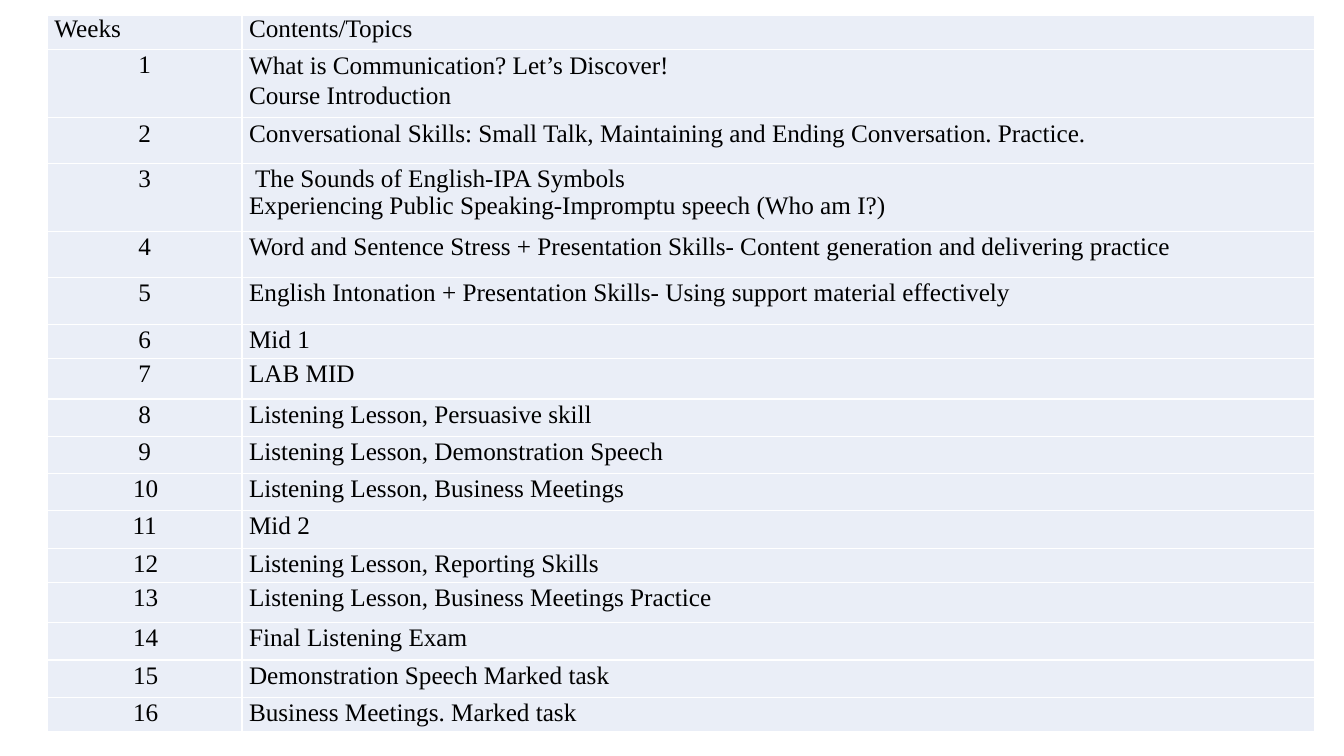
from dataclasses import dataclass

from lxml import etree
from pptx import Presentation
from pptx.dml.color import RGBColor
from pptx.enum.text import PP_ALIGN
from pptx.oxml.ns import qn
from pptx.util import Inches, Pt

LEFT, MID, RIGHT = PP_ALIGN.LEFT, PP_ALIGN.CENTER, PP_ALIGN.RIGHT


@dataclass(frozen=True)
class Theme:
    font: str = "Times New Roman"
    size: float = 18
    ink: str = "000000"
    fill: str = "EAEEF7"
    rule: str = "FFFFFF"
    width: float = 1


@dataclass(frozen=True)
class Line:
    text: str
    align: int = LEFT
    left: float = 0.07
    right: float = 0
    pitch: float = 21.1
    before: float = 0


class Deck:
    def __init__(self, theme):
        self.theme = theme
        self.show = Presentation()
        self.show.slide_width = Inches(13.33)
        self.show.slide_height = Inches(7.5)
        self.slide = self.show.slides.add_slide(self.show.slide_layouts[6])

    def table(self, left, top, widths, heights, rows):
        frame = self.slide.shapes.add_table(
            len(rows), len(widths), Inches(left), Inches(top),
            Inches(sum(widths)), Inches(sum(heights)))
        table = frame.table
        table.first_row = table.horz_banding = False
        for column, width in zip(table.columns, widths):
            column.width = Inches(width)
        for row, height, cells in zip(table.rows, heights, rows):
            row.height = Inches(height)
            for cell, lines in zip(row.cells, cells):
                self.cell(cell, lines)

    def cell(self, cell, lines):
        cell.margin_left = cell.margin_right = 0
        cell.margin_top = cell.margin_bottom = 0
        self.border(cell)
        cell.fill.solid()
        cell.fill.fore_color.rgb = RGBColor.from_string(self.theme.fill)
        cell.text_frame.text = "\n".join(line.text for line in lines)
        for para, line in zip(cell.text_frame.paragraphs, lines):
            self.style(para, line)

    def border(self, cell):
        props = cell._tc.get_or_add_tcPr()
        for side in ("a:lnL", "a:lnR", "a:lnT", "a:lnB"):
            edge = etree.SubElement(props, qn(side), w=str(Pt(self.theme.width)))
            fill = etree.SubElement(edge, qn("a:solidFill"))
            etree.SubElement(fill, qn("a:srgbClr"), val=self.theme.rule)

    def style(self, para, line):
        props = para._p.get_or_add_pPr()
        props.set("marL", str(Inches(line.left)))
        props.set("marR", str(Inches(line.right)))
        props.set("indent", "0")
        para.alignment = line.align
        para.space_before = Pt(line.before)
        para.line_spacing = Pt(line.pitch) if line.pitch else 1.0
        for run in para.runs:
            run.font.name = self.theme.font
            run.font.size = Pt(self.theme.size)
            run.font.color.rgb = RGBColor.from_string(self.theme.ink)

    def save(self):
        self.show.save("out.pptx")


TOPICS = [
    [Line("What is Communication? Let’s Discover! Course Introduction",
          right=6, pitch=21.6)],
    "Conversational Skills: Small Talk, Maintaining and Ending Conversation. Practice.",
    [Line("The Sounds of English-IPA Symbols", left=0.13),
     Line("Experiencing Public Speaking-Impromptu speech (Who am I?)", pitch=19.3)],
    "Word and Sentence Stress + Presentation Skills- Content generation and delivering practice",
    "English Intonation + Presentation Skills- Using support material effectively",
    "Mid 1",
    "LAB MID",
    "Listening Lesson, Persuasive skill",
    "Listening Lesson, Demonstration Speech",
    "Listening Lesson, Business Meetings",
    "Mid 2",
    "Listening Lesson, Reporting Skills",
    "Listening Lesson, Business Meetings Practice",
    "Final Listening Exam",
    "Demonstration Speech Marked task",
    "Business Meetings. Marked task",
]
HEIGHTS = [0.34, 0.68, 0.45, 0.68, 0.45, 0.47, 0.34, 0.4,
           0.37, 0.37, 0.37, 0.37, 0.34, 0.4, 0.37, 0.37, 0.34]


def week(number):
    if number < 10 or number == 11:
        return Line(str(number), MID, left=0)
    return Line(str(number), RIGHT, left=0, right=0.83)


def main():
    deck = Deck(Theme())
    rows = [[[Line(head, pitch=0, before=0)] for head in ("Weeks", "Contents/Topics")]]
    for number, topic in enumerate(TOPICS, 1):
        lines = [Line(topic)] if isinstance(topic, str) else topic
        rows.append([[week(number)], lines])
    deck.table(0.47, 0.15, [1.93, 10.64], HEIGHTS, rows)
    deck.save()


if __name__ == "__main__":
    main()
